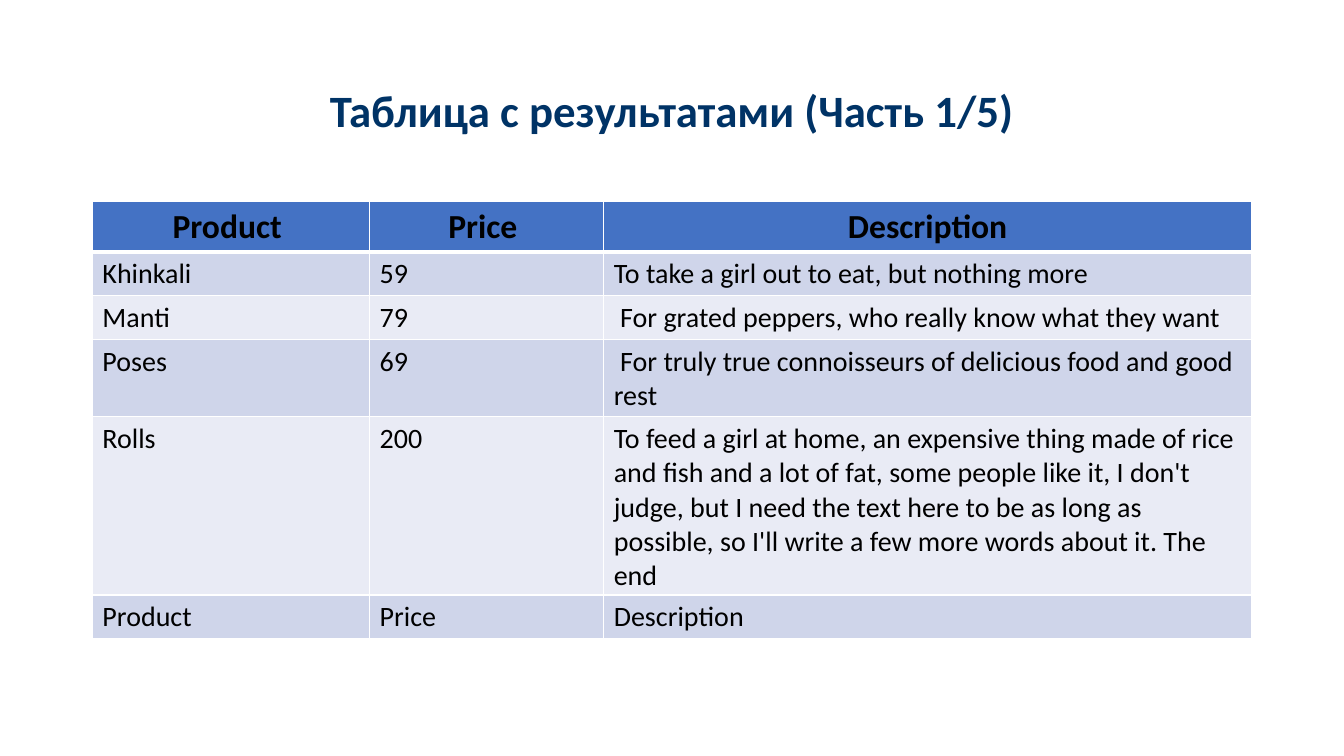
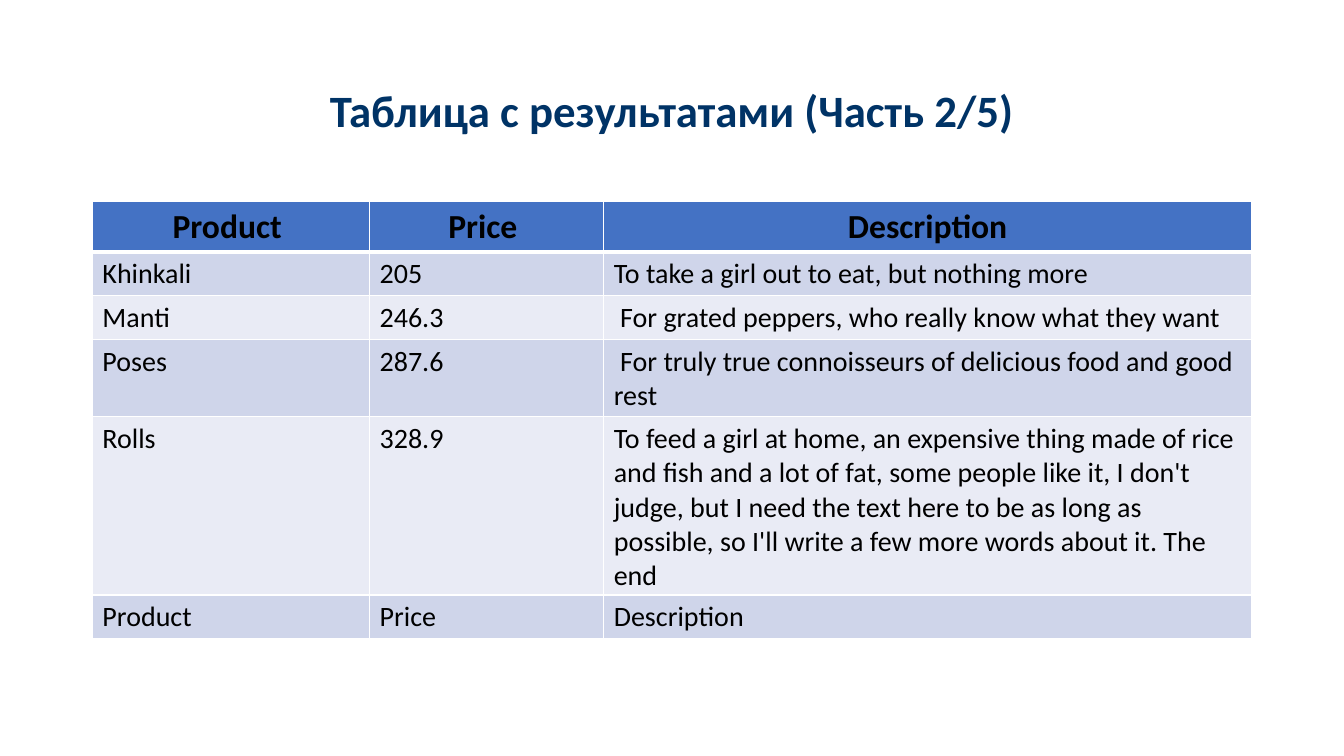
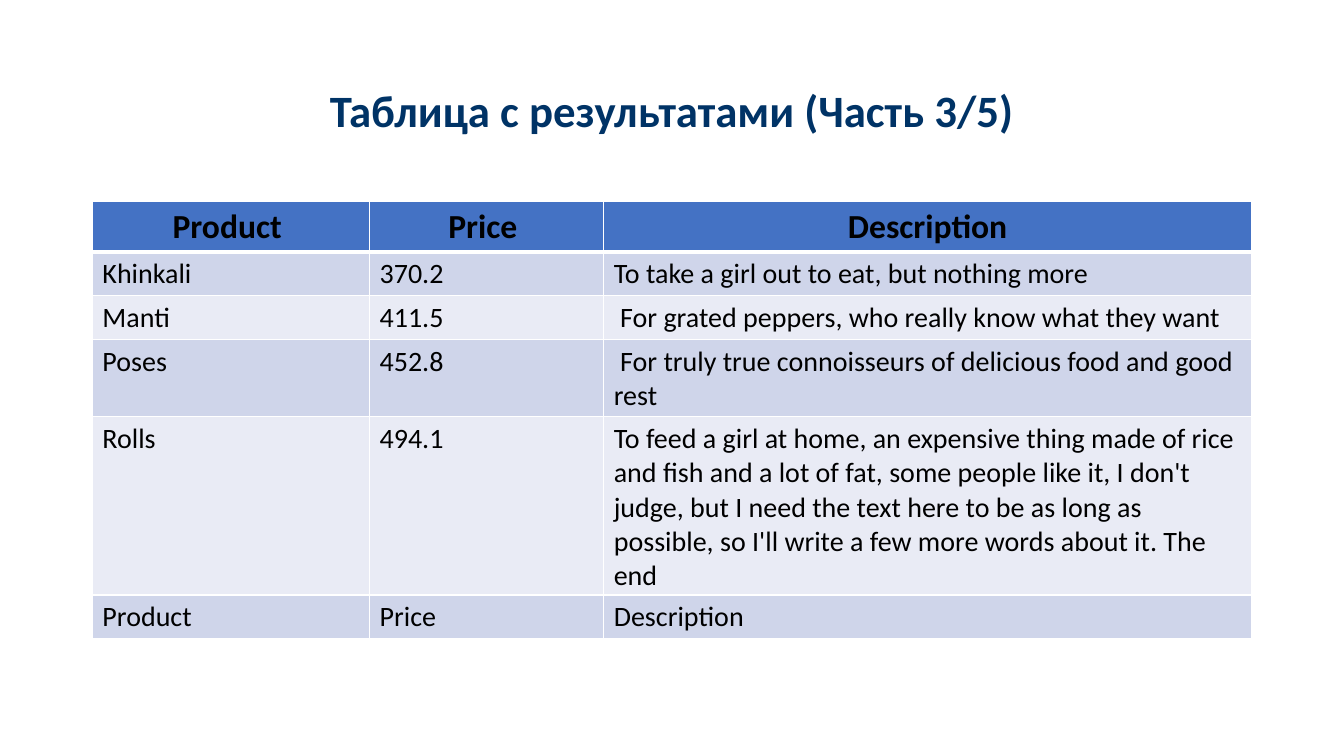
from dataclasses import dataclass

from lxml import etree
from pptx import Presentation
from pptx.dml.color import RGBColor
from pptx.enum.text import MSO_ANCHOR, PP_ALIGN
from pptx.oxml.ns import qn
from pptx.util import Pt

CENTER, LEFT = PP_ALIGN.CENTER, PP_ALIGN.LEFT
MIDDLE = MSO_ANCHOR.MIDDLE
EMU_PER_PX = 9525
EMU_PER_PT = 12700


@dataclass(frozen=True)
class Theme:
    font: str = "Calibri"
    heading: str = "003366"
    ink: str = "000000"
    header_fill: str = "4472C4"
    bands: tuple = ("CFD5EA", "E9EBF5")
    rule: str = "FFFFFF"
    title_pt: int = 32
    header_pt: int = 24
    body_pt: int = 20
    rule_pt: int = 1
    header_rule_pt: int = 3


THEME = Theme()
SLIDE_SIZE = (1280, 720)
TITLE_BOX = (88, 38, 1104, 139)
TABLE_BOX = (88, 192, 1104, 162)
COLUMN_WIDTHS = (264, 223, 617)

HEADER = ("Product ", "Price ", "Description")
CLOSING_ROW = ("Product", "Price", "Description")
MENU = (
    ("Khinkali", "To take a girl out to eat, but nothing more"),
    ("Manti", " For grated peppers, who really know what they want"),
    ("Poses", " For truly true connoisseurs of delicious food and good rest"),
    ("Rolls", "To feed a girl at home, an expensive thing made of rice and fish "
              "and a lot of fat, some people like it, I don't judge, but I need "
              "the text here to be as long as possible, so I'll write a few more "
              "words about it. The end"),
)
TOTAL_PARTS = 5
PRICES_BY_PART = (
    ("59", "79", "69", "200"),
    ("205", "246.3", "287.6", "328.9"),
    ("370.2", "411.5", "452.8", "494.1"),
)


def px(length):
    return length * EMU_PER_PX


def write(frame, text, size, color, bold, align):
    paragraph = frame.paragraphs[0]
    paragraph.alignment = align
    run = paragraph.add_run()
    run.text = text
    run.font.name = THEME.font
    run.font.size = Pt(size)
    run.font.bold = bold
    run.font.color.rgb = RGBColor.from_string(color)
    return paragraph


def add_title(slide, box, text):
    frame = slide.shapes.add_textbox(*map(px, box)).text_frame
    frame.word_wrap = True
    frame.vertical_anchor = MIDDLE
    heading = write(frame, text, THEME.title_pt, THEME.heading, True, CENTER)
    heading.line_spacing = 0.9


def rule_cell(cell, bottom_pt):
    properties = cell._tc.get_or_add_tcPr()
    for side in ("lnL", "lnR", "lnT", "lnB"):
        width = bottom_pt if side == "lnB" else THEME.rule_pt
        line = etree.SubElement(properties, qn(f"a:{side}"), w=str(width * EMU_PER_PT))
        fill = etree.SubElement(line, qn("a:solidFill"))
        etree.SubElement(fill, qn("a:srgbClr"), val=THEME.rule)


def fill_row(cells, texts, fill, size, bold, align, bottom_pt):
    for cell, text in zip(cells, texts):
        rule_cell(cell, bottom_pt)
        cell.fill.solid()
        cell.fill.fore_color.rgb = RGBColor.from_string(fill)
        write(cell.text_frame, text, size, THEME.ink, bold, align)


def add_price_table(slide, box, body):
    row_count = len(body) + 1
    table = slide.shapes.add_table(row_count, len(HEADER), *map(px, box)).table
    for column, width in zip(table.columns, COLUMN_WIDTHS):
        column.width = px(width)
    header_row, *body_rows = table.rows
    fill_row(header_row.cells, HEADER, THEME.header_fill, THEME.header_pt,
             True, CENTER, THEME.header_rule_pt)
    for index, (row, texts) in enumerate(zip(body_rows, body)):
        band = THEME.bands[index % len(THEME.bands)]
        fill_row(row.cells, texts, band, THEME.body_pt, False, LEFT, THEME.rule_pt)


def add_results_slide(deck, part, prices):
    slide = deck.slides.add_slide(deck.slide_layouts[6])
    add_title(slide, TITLE_BOX, f"Таблица с результатами (Часть {part}/{TOTAL_PARTS})")
    dishes = [(dish, price, about) for (dish, about), price in zip(MENU, prices)]
    add_price_table(slide, TABLE_BOX, dishes + [CLOSING_ROW])


def main():
    deck = Presentation()
    deck.slide_width, deck.slide_height = map(px, SLIDE_SIZE)
    for part, prices in enumerate(PRICES_BY_PART, start=1):
        add_results_slide(deck, part, prices)
    deck.save("out.pptx")


if __name__ == "__main__":
    main()
